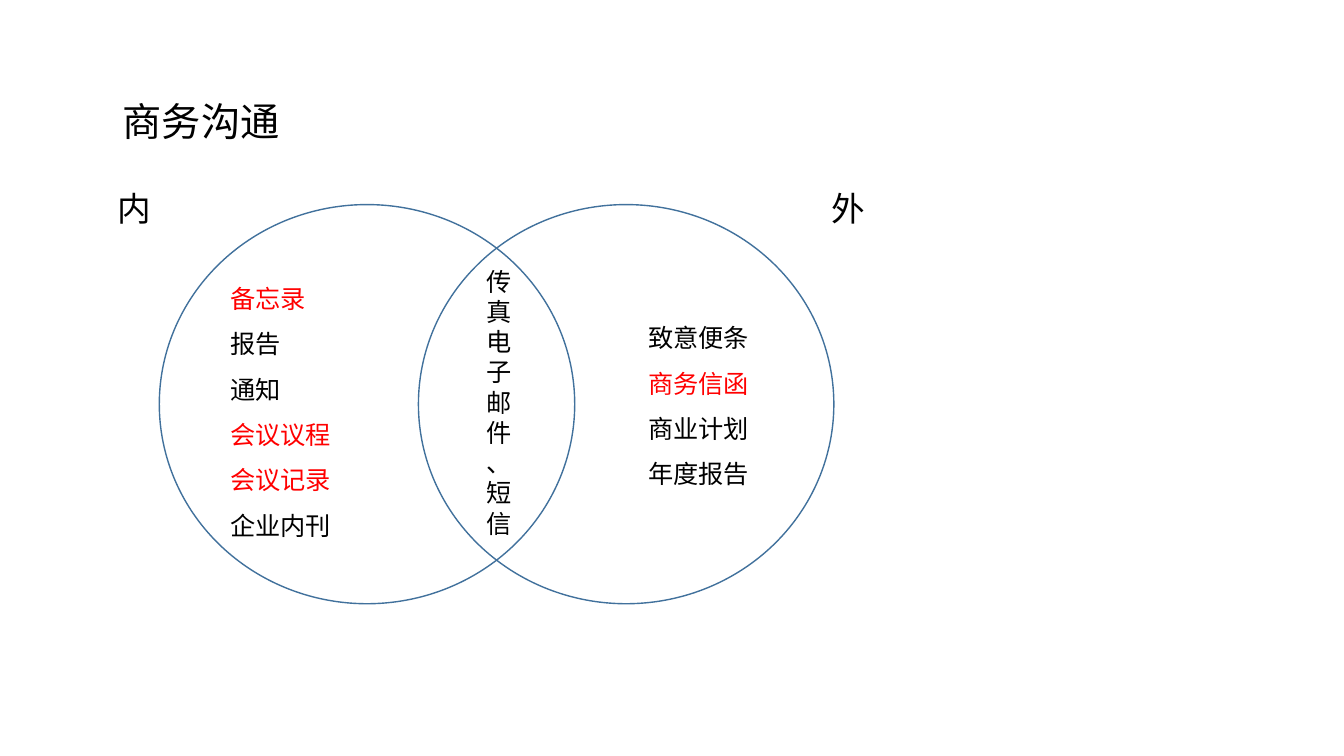
import pptx
import pptx.dml.color
import pptx.enum.shapes
import pptx.enum.text
import pptx.oxml.ns
import pptx.util
from pptx.util import Inches

FONT = "Noto Sans CJK SC"
BLACK, RED, WHITE, BLUE = "000000", "FF0000", "FFFFFF", "41719C"
LEFT = pptx.enum.text.PP_ALIGN.LEFT
CENTER = pptx.enum.text.PP_ALIGN.CENTER
INNER = ["备忘录", "报告", "通知", "会议议程", "会议记录", "企业内刊"]
OUTER = ["致意便条", "商务信函", "商业计划", "年度报告"]
MARKED = {"备忘录", "会议议程", "会议记录", "商务信函"}


def color(text):
    return pptx.dml.color.RGBColor.from_string(text)


def write(frame, lines, size=18, align=LEFT, space=None):
    frame.word_wrap = True
    frame.text = "\n".join(lines)
    for para in frame.paragraphs:
        para.alignment = align
        para.line_spacing = space
        for run in para.runs:
            run.font.size = pptx.util.Pt(size)
            run.font.name = FONT
            run.font.color.rgb = color(RED if run.text in MARKED else BLACK)
            east = run._r.get_or_add_rPr().makeelement(
                pptx.oxml.ns.qn("a:ea"), {"typeface": FONT})
            run._r.rPr.find(pptx.oxml.ns.qn("a:latin")).addnext(east)


def circle(slide, left, fill=None):
    shape = slide.shapes.add_shape(
        pptx.enum.shapes.MSO_SHAPE.OVAL,
        Inches(left), Inches(2.03), Inches(4.12), Inches(3.96))
    shape.shadow.inherit = False
    if fill:
        shape.fill.solid()
        shape.fill.fore_color.rgb = color(fill)
    else:
        shape.fill.background()
    shape.line.color.rgb = color(BLUE)
    shape.line.width = pptx.util.Pt(1)
    return shape


def label(slide, area, lines, **style):
    box = slide.shapes.add_textbox(*map(Inches, area))
    write(box.text_frame, lines, **style)
    box.text_frame.auto_size = pptx.enum.text.MSO_AUTO_SIZE.SHAPE_TO_FIT_TEXT


def main():
    deck = pptx.Presentation()
    deck.slide_width, deck.slide_height = Inches(13.33), Inches(7.5)
    slide = deck.slides.add_slide(deck.slide_layouts[6])

    inner = circle(slide, 1.58, WHITE)
    inner.text_frame.vertical_anchor = pptx.enum.text.MSO_ANCHOR.MIDDLE
    write(inner.text_frame, INNER, space=1.5)
    circle(slide, 4.15)

    label(slide, (5.97, 3, 1.92, 2.32), OUTER, align=CENTER, space=1.5)
    label(slide, (4.73, 2.59, 0.42, 2.83), ["传真电子邮件、短信"])
    for left, side in ((1.07, "内"), (8.15, "外")):
        label(slide, (left, 1.81, 0.86, 0.51), [side], size=24)
    label(slide, (1.11, 0.68, 1.77, 0.72), ["商务沟通"],
          size=28, align=CENTER, space=1.5)

    deck.save("out.pptx")


if __name__ == "__main__":
    main()
